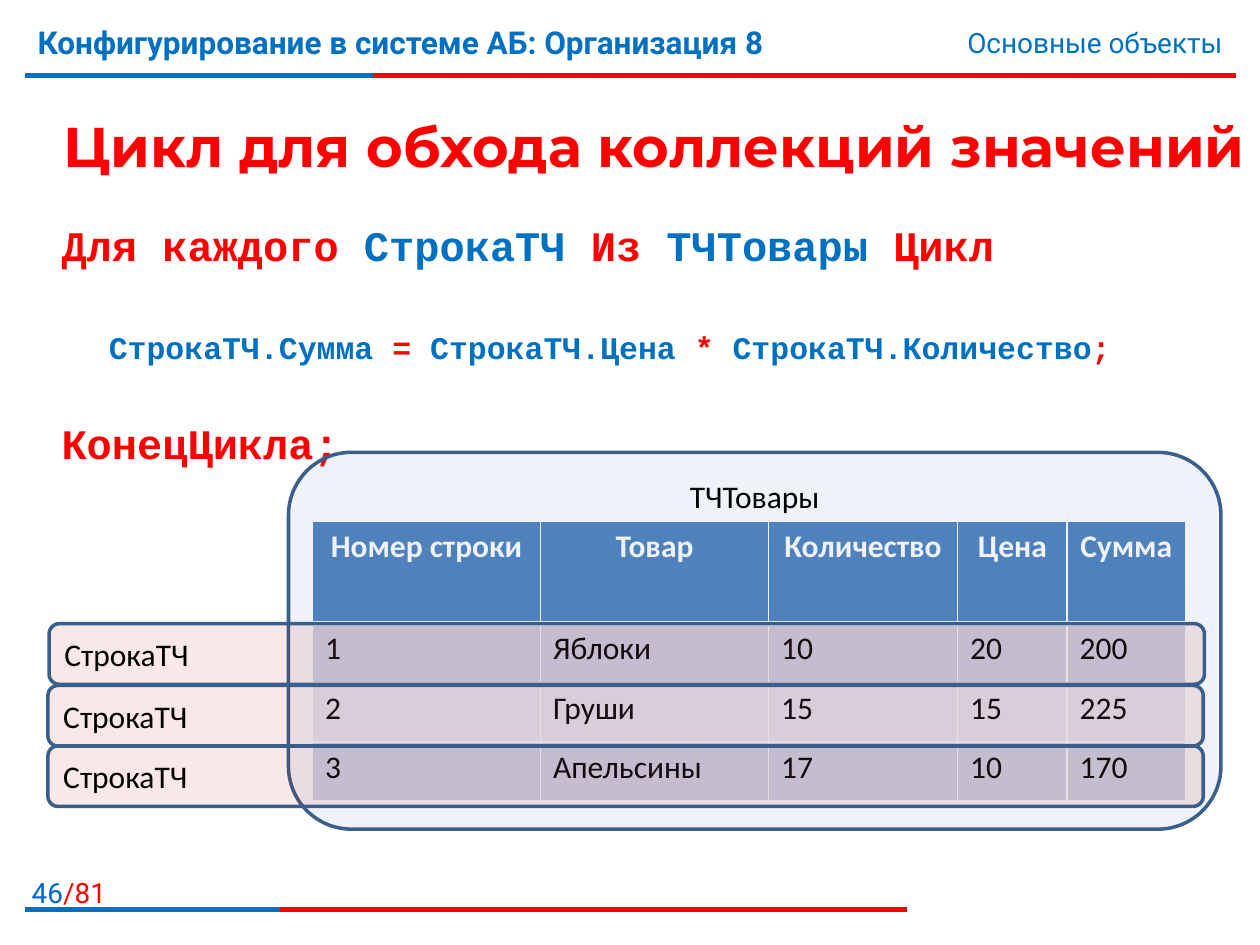
from dataclasses import dataclass

from lxml import etree
from pptx import Presentation
from pptx.dml.color import RGBColor
from pptx.enum.shapes import MSO_CONNECTOR, MSO_SHAPE
from pptx.enum.text import MSO_ANCHOR, PP_ALIGN
from pptx.oxml.ns import qn
from pptx.util import Pt

LEFT, CENTER, RIGHT = PP_ALIGN.LEFT, PP_ALIGN.CENTER, PP_ALIGN.RIGHT
TOP, MIDDLE = MSO_ANCHOR.TOP, MSO_ANCHOR.MIDDLE
STRAIGHT = MSO_CONNECTOR.STRAIGHT
ROUNDED = MSO_SHAPE.ROUNDED_RECTANGLE

RED, BLUE, BLACK, WHITE = "FF0000", "0070C0", "000000", "FFFFFF"
HEADER_FILL, FRAME_LINE, ROW_TINT = "4F81BD", "3A5F8C", "C00000"
BAND_FILLS = ("D0D8E8", "E9EDF4")


@dataclass
class Span:
    text: str
    color: str
    size: float
    font: str
    bold: bool = False


@dataclass
class Area:
    left: float
    top: float
    width: float
    height: float

    def points(self) -> tuple:
        return Pt(self.left), Pt(self.top), Pt(self.width), Pt(self.height)


@dataclass
class CodeLine:
    tokens: list
    size: float
    space_before: float = 0
    indent: float = 0


@dataclass
class Rule:
    y: float
    red_end: float
    blue_end: float


def rgb(value: str) -> RGBColor:
    return RGBColor.from_string(value)


def add_spans(para, spans: list) -> None:
    for span in spans:
        run = para.add_run()
        run.text = span.text
        run.font.name = span.font
        run.font.size = Pt(span.size)
        run.font.bold = span.bold
        run.font.color.rgb = rgb(span.color)


def add_text(page, area: Area, spans: list, align=LEFT, anchor=TOP, wrap=True):
    box = page.shapes.add_textbox(*area.points())
    frame = box.text_frame
    frame.word_wrap = wrap
    frame.vertical_anchor = anchor
    para = frame.paragraphs[0]
    para.alignment = align
    add_spans(para, spans)
    return box


def add_rule(page, rule: Rule) -> None:
    """Draw a red line with a blue section over its start."""
    for end, color in ((rule.red_end, RED), (rule.blue_end, BLUE)):
        line = page.shapes.add_connector(
            STRAIGHT, Pt(14.4), Pt(rule.y), Pt(end), Pt(rule.y))
        line.line.color.rgb = rgb(color)
        line.line.width = Pt(3)
        etree.SubElement(line._element.spPr, qn("a:effectLst"))


def outline_text(run, color: str, width: float) -> None:
    line = etree.Element(qn("a:ln"), w=str(Pt(width)))
    fill = etree.SubElement(line, qn("a:solidFill"))
    etree.SubElement(fill, qn("a:srgbClr"), val=color)
    run._r.get_or_add_rPr().insert(0, line)


def add_code(page, area: Area, lines: list) -> None:
    box = page.shapes.add_textbox(*area.points())
    frame = box.text_frame
    frame.word_wrap = True
    frame.margin_top = Pt(8.4)
    for index, line in enumerate(lines):
        para = frame.add_paragraph() if index else frame.paragraphs[0]
        para.line_spacing = 0.8
        para.space_before = Pt(line.space_before)
        para._p.get_or_add_pPr().set("marL", str(Pt(line.indent)))
        add_spans(para, [Span(text, color, line.size, "Courier New", True)
                         for text, color in line.tokens])


def add_border(cell, side: str, width: float) -> None:
    line = etree.SubElement(cell._tc.get_or_add_tcPr(), qn(f"a:{side}"), w=str(Pt(width)))
    fill = etree.SubElement(line, qn("a:solidFill"))
    etree.SubElement(fill, qn("a:srgbClr"), val=WHITE)


def fill_cell(cell, text: str, is_header: bool, fill: str) -> None:
    for side in ("lnL", "lnR", "lnT", "lnB"):
        add_border(cell, side, 3 if is_header and side == "lnB" else 1)
    cell.fill.solid()
    cell.fill.fore_color.rgb = rgb(fill)
    para = cell.text_frame.paragraphs[0]
    para.alignment = CENTER if is_header else LEFT
    add_spans(para, [Span(text, WHITE if is_header else BLACK, 18, "Calibri", is_header)])


def add_goods_table(page, area: Area, widths: list, heights: list, rows: list) -> None:
    table = page.shapes.add_table(len(rows), len(widths), *area.points()).table
    for column, width in zip(table.columns, widths):
        column.width = Pt(width)
    for index, (row, height, values) in enumerate(zip(table.rows, heights, rows)):
        row.height = Pt(height)
        fill = BAND_FILLS[(index - 1) % 2] if index else HEADER_FILL
        for cell, value in zip(row.cells, values):
            fill_cell(cell, value, index == 0, fill)


def add_frame(page, area: Area, label: str, tint: str, align, anchor) -> None:
    """Draw a rounded frame with a nearly transparent fill and a label."""
    shape = page.shapes.add_shape(ROUNDED, *area.points())
    shape.shadow.inherit = False
    shape.fill.solid()
    shape.fill.fore_color.rgb = rgb(tint)
    color = shape._element.spPr.find(qn("a:solidFill")).find(qn("a:srgbClr"))
    etree.SubElement(color, qn("a:alpha"), val="9000")
    shape.line.color.rgb = rgb(FRAME_LINE)
    shape.line.width = Pt(2)
    shape.text_frame.vertical_anchor = anchor
    para = shape.text_frame.paragraphs[0]
    para.alignment = align
    add_spans(para, [Span(label, BLACK, 18, "Calibri")])


def main() -> None:
    deck = Presentation()
    deck.slide_width, deck.slide_height = Pt(720), Pt(540)
    page = deck.slides.add_slide(deck.slide_layouts[6])

    add_rule(page, Rule(43.2, 706.3, 213.1))
    add_text(page, Area(-7.2, 496.8, 74.9, 23),
             [Span("46", "0066CC", 16, "Roboto"), Span("/81", RED, 16, "Roboto")], RIGHT)
    add_rule(page, Rule(519.8, 518.4, 159.8))
    add_text(page, Area(14.4, 9.4, 532.8, 44.6),
             [Span("Конфигурирование в системе АБ: Организация 8", BLUE, 18, "Roboto", True)])
    add_text(page, Area(427.7, 10.8, 277.9, 26.6),
             [Span("Основные объекты", BLUE, 16, "Roboto")], RIGHT)

    title = add_text(page, Area(28.1, 43.2, 691.9, 79.2),
                     [Span("Цикл для обхода коллекций значений", RED, 32, "Montserrat", True)],
                     CENTER, MIDDLE, False)
    outline_text(title.text_frame.paragraphs[0].runs[0], WHITE, 0.75)

    add_code(page, Area(28.1, 122.4, 648, 149.8), [
        CodeLine([("Для каждого ", RED), ("СтрокаТЧ ", BLUE), ("Из ", RED),
                  ("ТЧТовары ", BLUE), ("Цикл", RED)], 24),
        CodeLine([("СтрокаТЧ.Сумма ", BLUE), ("= ", RED), ("СтрокаТЧ.Цена ", BLUE),
                  ("* ", RED), ("СтрокаТЧ.Количество", BLUE), (";", RED)], 18, 38, 27),
        CodeLine([("КонецЦикла;", RED)], 24, 35),
    ])

    add_goods_table(
        page, Area(178.6, 298.1, 499, 158.4),
        [130.3, 130.3, 108, 62.6, 67.7], [58.3, 33.8, 33.8, 33.8],
        [("Номер строки", "Товар", "Количество", "Цена", "Сумма"),
         ("1", "Яблоки", "10", "20", "200"),
         ("2", "Груши", "15", "15", "225"),
         ("3", "Апельсины", "17", "10", "170")])

    add_frame(page, Area(164.9, 258.5, 532.8, 215.3), "ТЧТовары", HEADER_FILL, CENTER, TOP)
    for left, top in ((28.1, 356.4), (27.4, 391.7), (27.4, 426.2)):
        add_frame(page, Area(left, top, 660.2, 34.6), "СтрокаТЧ", ROW_TINT, LEFT, MIDDLE)

    deck.save("out.pptx")


if __name__ == "__main__":
    main()
